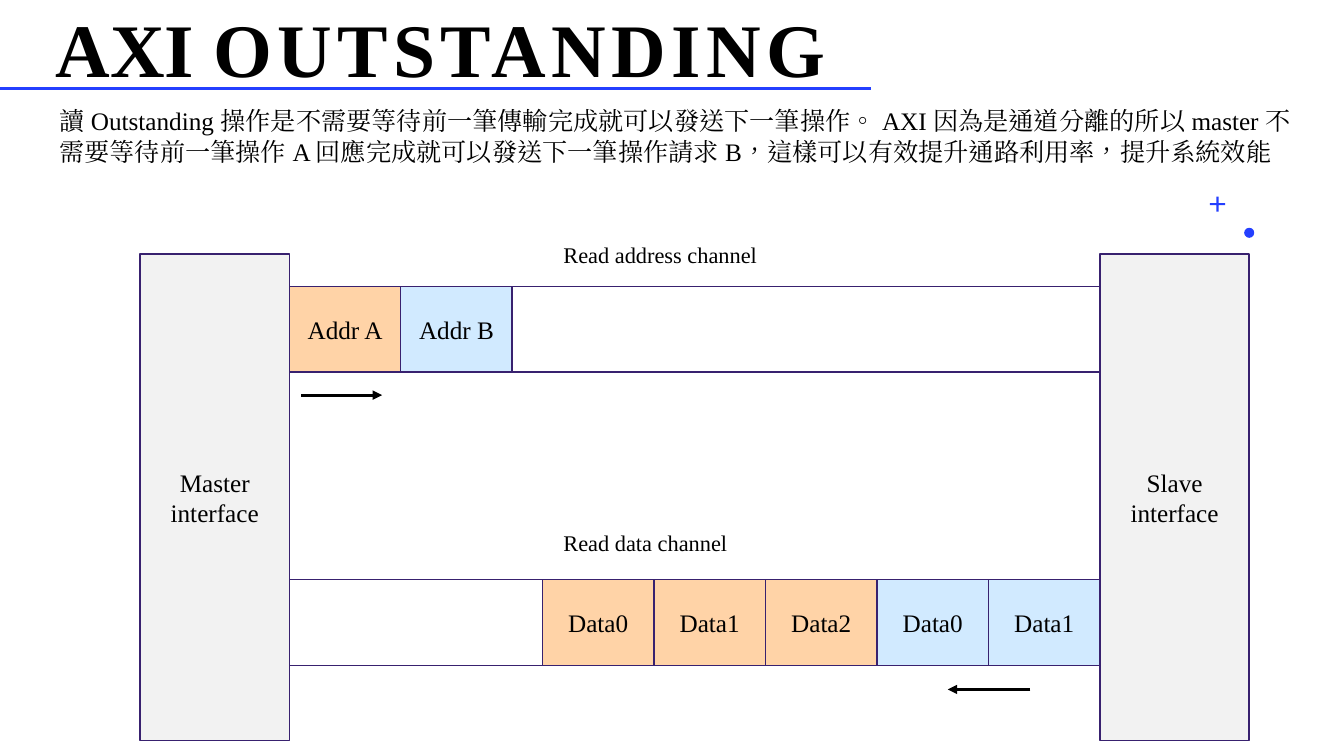
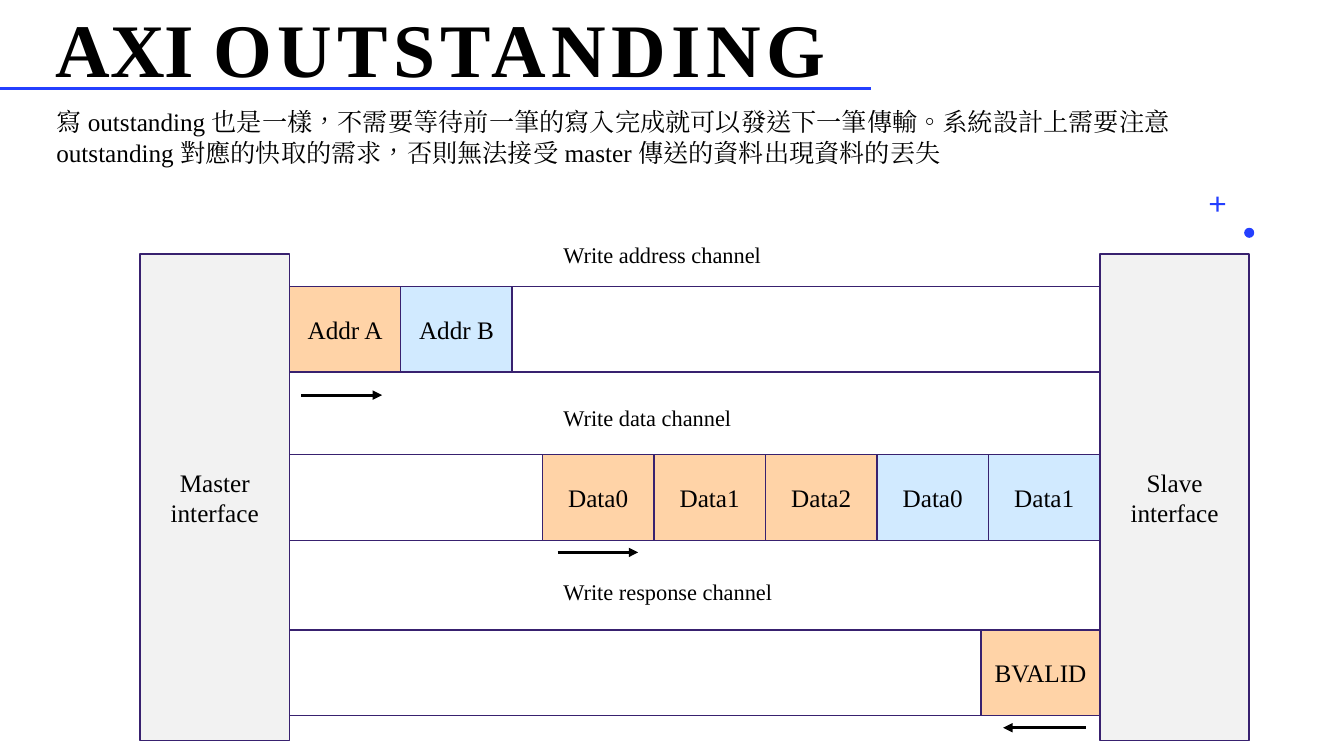
from lxml.etree import SubElement as Sub
from pptx import Presentation
from pptx.dml.color import RGBColor as RGB
from pptx.enum.lang import MSO_LANGUAGE_ID as Lang
from pptx.enum.shapes import MSO_CONNECTOR as Conn, MSO_SHAPE as Geo
from pptx.enum.text import MSO_ANCHOR as Anchor, MSO_AUTO_SIZE as Auto, PP_ALIGN as Align
from pptx.oxml.ns import qn
from pptx.util import Pt

SCALE = 9144  # EMU in one px, 100 px to the inch
FACE = "Times New Roman"
HUES = {"text": "000000", "accent": "243FFF", "edge": "38216F",
        "side": "F2F2F2", "A": "FFD3A7", "B": "D1EAFF"}

# Edges of the diagram
LEFT, RIGHT = 287, 1091
TOP, TALL = 252, 483
SIDE, LANE = 148, 85


def px(*nums):
    return [round(n * SCALE) for n in nums]


def hue(key):
    return RGB.from_string(HUES[key])


class Deck:
    def __init__(self):
        self.prs = Presentation()
        self.prs.slide_width, self.prs.slide_height = px(1333, 750)
        self.slide = None

    def style(self, para, size, bold=False):
        font = para.font
        font.name, font.size, font.bold = FACE, Pt(size), bold
        font.color.rgb = hue("text")

    def page(self, body, box):
        """New slide with title, rule, ornaments and body text."""
        self.slide = self.prs.slides.add_slide(self.prs.slide_layouts[5])
        self.title("AXI ", "OUTSTANDING")
        self.line((0, 88), (864, 88), "accent", 2)
        self.shape(Geo.OVAL, (1234, 226, 10, 10), "accent")
        plus = self.shape(Geo.CROSS, (1200, 195, 15, 15), "accent")
        plus.adjustments[0] = 0.43
        self.text(body, box, 18)

    def title(self, *parts):
        head = self.slide.shapes.title
        head.left, head.top, head.width, head.height = px(45, -31, 799, 129)
        frame = head.text_frame
        frame.auto_size, frame.vertical_anchor = Auto.NONE, Anchor.BOTTOM
        para = frame.paragraphs[0]
        para.alignment, para.line_spacing = Align.LEFT, 0.9
        for part in parts:
            run = para.add_run()
            run.text = part
        # Wide tracking on the last word
        run.font.bold = True
        run.font._element.set("spc", "400")
        self.style(para, 54, True)

    def line(self, start, end, key="text", width=2.25, arrow=False):
        line = self.slide.shapes.add_connector(Conn.STRAIGHT, *px(*start, *end))
        line.line.color.rgb, line.line.width = hue(key), Pt(width)
        if arrow:
            Sub(line.line._get_or_add_ln(), qn("a:tailEnd"), type="triangle")
        Sub(line._element.spPr, qn("a:effectLst"))

    def shape(self, geo, box, fill=None, edge=None, text=""):
        shape = self.slide.shapes.add_shape(geo, *px(*box))
        shape.shadow.inherit = False
        if fill:
            shape.fill.solid()
            shape.fill.fore_color.rgb = hue(fill)
        else:
            shape.fill.background()
        if edge:
            shape.line.color.rgb, shape.line.width = hue(edge), Pt(1)
        else:
            shape.line.fill.background()
        if text:
            frame = shape.text_frame
            frame.text, frame.vertical_anchor = text, Anchor.MIDDLE
            for para in frame.paragraphs:
                para.alignment = Align.CENTER
                self.style(para, 18)
        return shape

    def text(self, text, box, size):
        frame = self.slide.shapes.add_textbox(*px(*box)).text_frame
        frame.word_wrap = True
        para = frame.paragraphs[0]
        run = para.add_run()
        run.text = text
        run.font.language_id = Lang.TRADITIONAL_CHINESE
        Sub(run.font._element, qn("a:ea"), typeface=FACE)
        self.style(para, size)

    def sides(self):
        for x, name in ((LEFT - SIDE, "Master"), (RIGHT, "Slave")):
            self.shape(Geo.RECTANGLE, (x, TOP, SIDE, TALL), "side", "edge",
                       name + "\ninterface")

    def lane(self, name, y, top, span, cells, arrow):
        """Channel with its label, its cells spread over span, and an arrow."""
        self.text(name + " channel", (549, y, 283, 36), 16)
        self.shape(Geo.RECTANGLE, (LEFT, top, RIGHT - LEFT, LANE), None, "edge")
        start, end = span
        wide = (end - start) / len(cells)
        for i, (text, key) in enumerate(cells):
            self.shape(Geo.RECTANGLE, (start + i * wide, top, wide, LANE),
                       key, "edge", text)
        tail, tip, level = arrow
        self.line((tail, level), (tip, level), arrow=True)


ADDR = [("Addr A", "A"), ("Addr B", "B")]
DATA = [("Data0", "A"), ("Data1", "A"), ("Data2", "A"), ("Data0", "B"), ("Data1", "B")]
FIRST, LAST = (LEFT, 508), (538, RIGHT)

# Body, its box, and lanes: name, label y, lane top, span, cells, arrow
PAGES = [
    ("讀 Outstanding 操作是不需要等待前一筆傳輸完成就可以發送下一筆操作。 AXI 因為是通道分離的所以 master "
     "不需要等待前一筆操作 A 回應完成就可以發送下一筆操作請求 B，這樣可以有效提升通路利用率，提升系統效能",
     (49, 100, 1241, 100),
     [("Read address", 234, 284, FIRST, ADDR, (299, 379, 392)),
      ("Read data", 520, 575, LAST, DATA, (1022, 940, 684))]),
    ("寫 outstanding 也是一樣，不需要等待前一筆的寫入完成就可以發送下一筆傳輸。系統設計上需要注意 "
     "outstanding 對應的快取的需求，否則無法接受 master 傳送的資料出現資料的丟失",
     (46, 101, 1235, 70),
     [("Write address", 234, 284, FIRST, ADDR, (299, 379, 392)),
      ("Write data", 396, 451, LAST, DATA, (553, 633, 548)),
      ("Write response", 569, 625, (973, RIGHT), [("BVALID", "A")], (1077, 995, 722))]),
]


def main():
    deck = Deck()
    for body, box, lanes in PAGES:
        deck.page(body, box)
        deck.sides()
        for lane in lanes:
            deck.lane(*lane)
    deck.prs.save("out.pptx")


if __name__ == "__main__":
    main()
